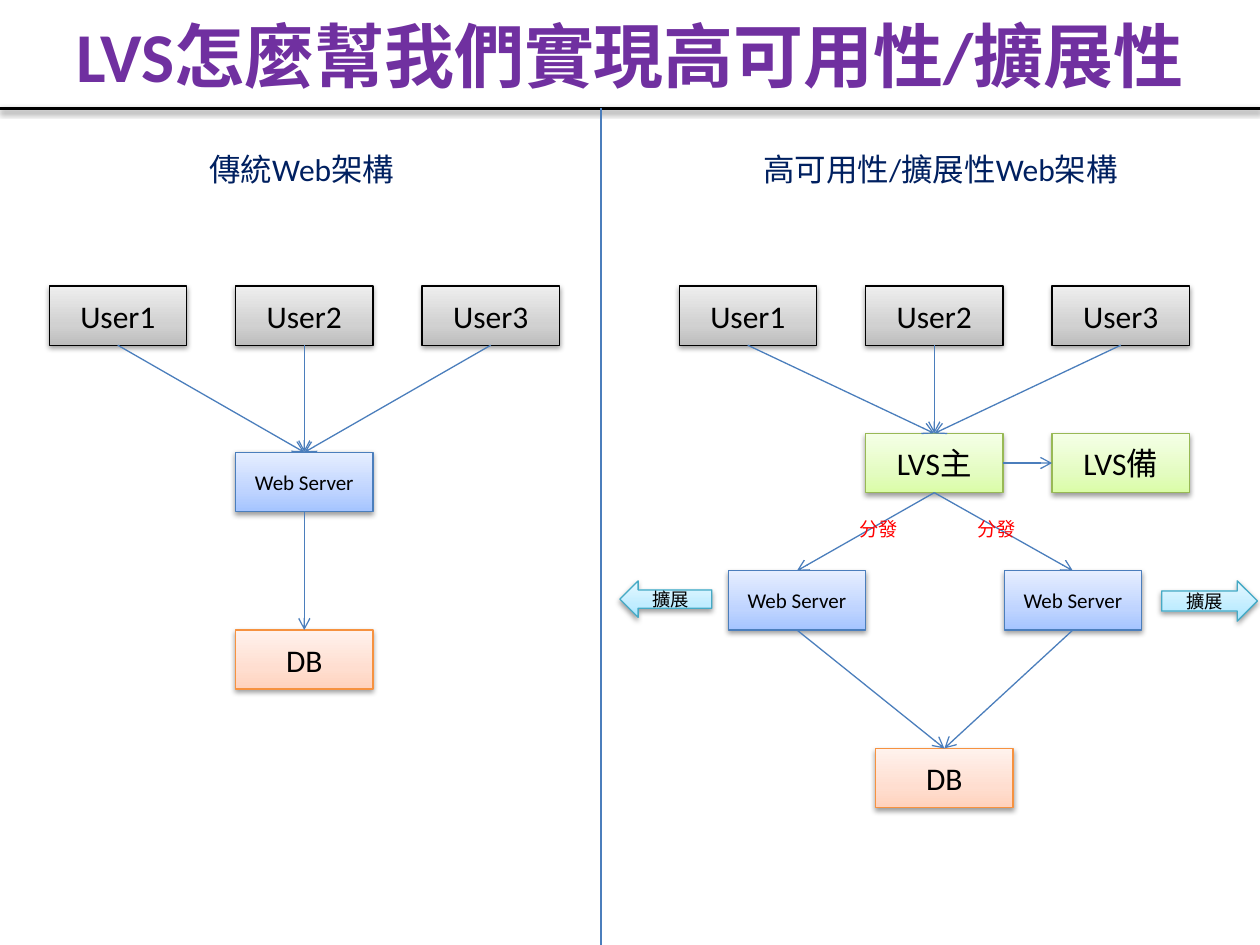
from dataclasses import dataclass

from lxml import etree
from pptx import Presentation
from pptx.dml.color import RGBColor
from pptx.enum.shapes import MSO_CONNECTOR, MSO_SHAPE
from pptx.enum.text import MSO_ANCHOR, MSO_AUTO_SIZE, PP_ALIGN
from pptx.oxml.ns import qn
from pptx.util import Inches, Pt

STRAIGHT = MSO_CONNECTOR.STRAIGHT
RECTANGLE = MSO_SHAPE.RECTANGLE
LEFT_ARROW = MSO_SHAPE.LEFT_ARROW
RIGHT_ARROW = MSO_SHAPE.RIGHT_ARROW
MIDDLE = MSO_ANCHOR.MIDDLE
FIT_SHAPE = MSO_AUTO_SIZE.SHAPE_TO_FIT_TEXT
CENTER = PP_ALIGN.CENTER
LEFT = PP_ALIGN.LEFT
TOP_SITE, LEFT_SITE, BOTTOM_SITE, RIGHT_SITE = range(4)


@dataclass(frozen=True)
class Kind:
    border: str
    stops: tuple


@dataclass(frozen=True)
class Theme:
    font: str = "Calibri"
    title_color: str = "7030A0"
    heading_color: str = "002060"
    alert_color: str = "FF0000"
    black: str = "000000"
    link_color: str = "4B7EBC"
    title_size: float = 40
    body_size: float = 18
    server_size: float = 12
    label_size: float = 11
    arrow_size: float = 10.5
    thin: float = 0.75
    thick: float = 2
    user: Kind = Kind("000000", ("BDBDBD", "D1D1D1", "EEEEEE"))
    server: Kind = Kind("4B7EBC", ("A4C4FF", "BFD4FF", "E6EEFF"))
    database: Kind = Kind("F69240", ("FFD2BD", "FFDED0", "FFF2ED"))
    balancer: Kind = Kind("98B955", ("DAFDA7", "E4FCC2", "F5FFE7"))
    scaling: Kind = Kind("46AAC5", ("A7E6FF", "C1EDFF", "E7F8FF"))


THEME = Theme()
BOX_WIDTH, BOX_HEIGHT = 1.09, 0.47
USER_LEFT, USER_TOP, USER_STEP = 0.39, 2.27, 1.48
PANE_OFFSET = 5


def write_text(frame, text, size, color=THEME.black, bold=False, align=CENTER):
    frame.word_wrap = True
    paragraph = frame.paragraphs[0]
    paragraph.alignment = align
    run = paragraph.add_run()
    run.text = text
    run.font.name = THEME.font
    run.font.size = Pt(size)
    run.font.bold = bold
    run.font.color.rgb = RGBColor.from_string(color)


def add_color(parent, color):
    return etree.SubElement(parent, qn("a:srgbClr"), val=color)


def add_shadow(effects):
    shadow = etree.SubElement(effects, qn("a:outerShdw"), blurRad=str(Pt(3.1)),
                              dist=str(Pt(1.6)), dir="5400000", rotWithShape="0")
    etree.SubElement(add_color(shadow, THEME.black), qn("a:alpha"), val="38000")


class Diagram:
    def __init__(self, slide, theme):
        self.slide = slide
        self.theme = theme

    def text(self, text, left, top, width, height, **style):
        box = self.slide.shapes.add_textbox(
            Inches(left), Inches(top), Inches(width), Inches(height))
        box.text_frame.auto_size = FIT_SHAPE
        write_text(box.text_frame, text, **style)

    def block(self, text, kind, left, top, width=BOX_WIDTH, height=BOX_HEIGHT,
              size=THEME.body_size, preset=RECTANGLE):
        shape = self.slide.shapes.add_shape(
            preset, Inches(left), Inches(top), Inches(width), Inches(height))
        shape.fill.gradient()
        shape.fill.gradient_angle = 90
        properties = shape.element.spPr
        stop_list = properties.find(".//" + qn("a:gsLst"))
        for stop in list(stop_list):
            stop_list.remove(stop)
        for position, color in zip((0, 35, 100), kind.stops):
            stop = etree.SubElement(stop_list, qn("a:gs"), pos=str(position * 1000))
            add_color(stop, color)
        shape.line.color.rgb = RGBColor.from_string(kind.border)
        shape.line.width = Pt(self.theme.thin)
        shape.shadow.inherit = False
        add_shadow(properties.find(qn("a:effectLst")))
        shape.text_frame.vertical_anchor = MIDDLE
        write_text(shape.text_frame, text, size=size)
        return shape

    def server(self, left, top):
        return self.block("Web Server", self.theme.server, left, top,
                          size=self.theme.server_size)

    def users(self, offset):
        return [self.block(f"User{index + 1}", self.theme.user,
                           offset + USER_LEFT + index * USER_STEP, USER_TOP)
                for index in range(3)]

    def line(self, start, end, color, width, shadowed=False):
        connector = self.slide.shapes.add_connector(
            STRAIGHT, *(Inches(value) for value in (*start, *end)))
        connector.line.color.rgb = RGBColor.from_string(color)
        connector.line.width = Pt(width)
        effects = etree.SubElement(connector.element.spPr, qn("a:effectLst"))
        if shadowed:
            add_shadow(effects)
        return connector

    def link(self, source, target, source_site=BOTTOM_SITE, target_site=TOP_SITE):
        connector = self.line((0, 0), (0, 0), self.theme.link_color, self.theme.thin)
        connector.begin_connect(source, source_site)
        connector.end_connect(target, target_site)
        etree.SubElement(connector.line._get_or_add_ln(), qn("a:tailEnd"), type="arrow")


def draw_traditional(diagram):
    theme = diagram.theme
    center_left = USER_LEFT + USER_STEP
    users = diagram.users(0)
    server = diagram.server(center_left, 3.59)
    database = diagram.block("DB", theme.database, center_left, 5)
    for user in users:
        diagram.link(user, server)
    diagram.link(server, database)


def draw_scalable(diagram):
    theme = diagram.theme
    center_left = PANE_OFFSET + USER_LEFT + USER_STEP
    users = diagram.users(PANE_OFFSET)
    primary = diagram.block("LVS主", theme.balancer, center_left, 3.44)
    standby = diagram.block("LVS備", theme.balancer, center_left + USER_STEP, 3.44)
    servers = [diagram.server(left, 4.53) for left in (5.78, 7.97)]
    database = diagram.block("DB", theme.database, 6.95, 5.94)
    for user in users:
        diagram.link(user, primary)
    for server in servers:
        diagram.link(primary, server)
        diagram.link(server, database)
    diagram.link(primary, standby, RIGHT_SITE, LEFT_SITE)
    for preset, left, width, height in ((LEFT_ARROW, 4.92, 0.73, 0.29),
                                        (RIGHT_ARROW, 9.22, 0.76, 0.32)):
        diagram.block("擴展", theme.scaling, left, 4.61, width, height,
                      size=theme.arrow_size, preset=preset)
    for left in (6.72, 7.66):
        diagram.text("分發", left, 4.06, 0.55, 0.29, size=theme.label_size,
                     color=theme.alert_color, align=LEFT)


def main():
    presentation = Presentation()
    presentation.slide_width = Inches(10)
    presentation.slide_height = Inches(7.5)
    slide = presentation.slides.add_slide(presentation.slide_layouts[6])
    diagram = Diagram(slide, THEME)
    diagram.line((0, 0.86), (10, 0.86), THEME.black, THEME.thick, shadowed=True)
    diagram.text("LVS怎麼幫我們實現高可用性/擴展性", 0, 0.05, 10, 0.77,
                 size=THEME.title_size, color=THEME.title_color, bold=True)
    diagram.line((4.77, 0.86), (4.77, 7.5), THEME.link_color, THEME.thin)
    for heading, left in (("傳統Web架構", 0.09), ("高可用性/擴展性Web架構", 5.16)):
        diagram.text(heading, left, 1.14, 4.61, 0.4,
                     size=THEME.body_size, color=THEME.heading_color)
    draw_traditional(diagram)
    draw_scalable(diagram)
    presentation.save("out.pptx")


if __name__ == "__main__":
    main()
